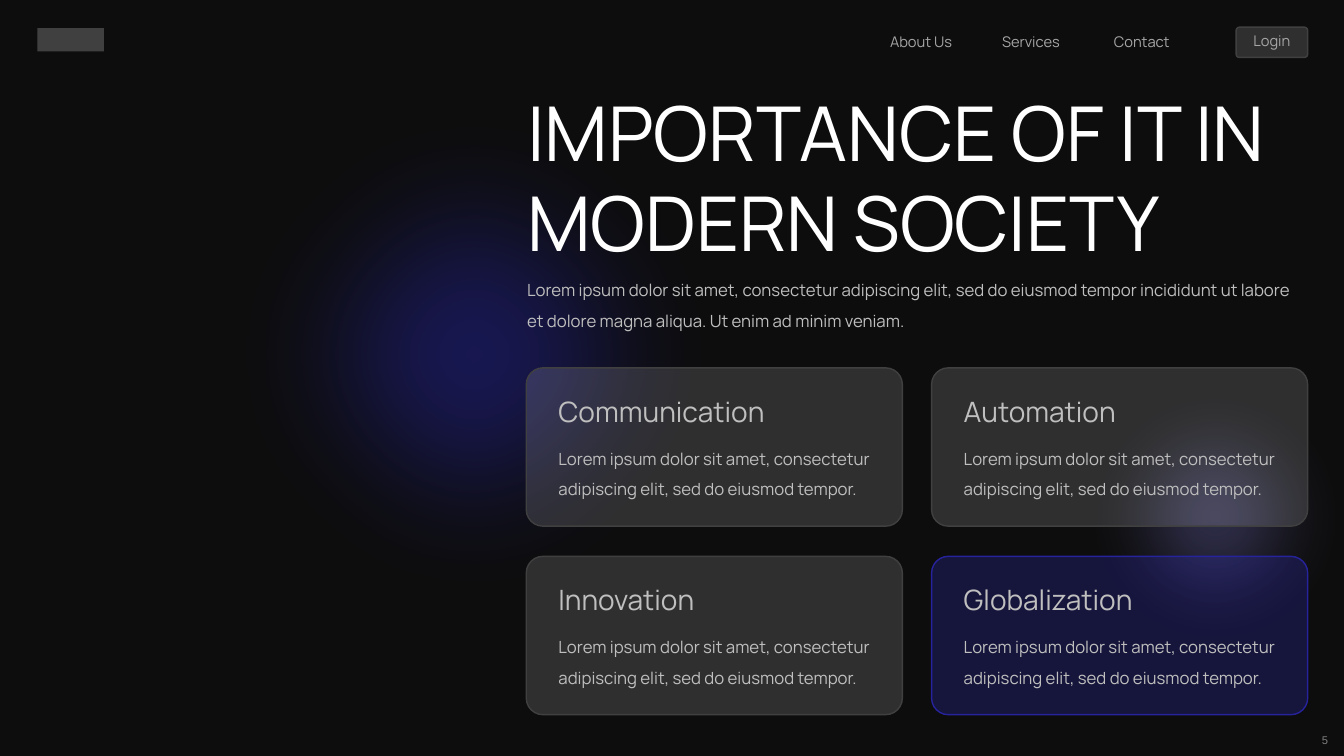
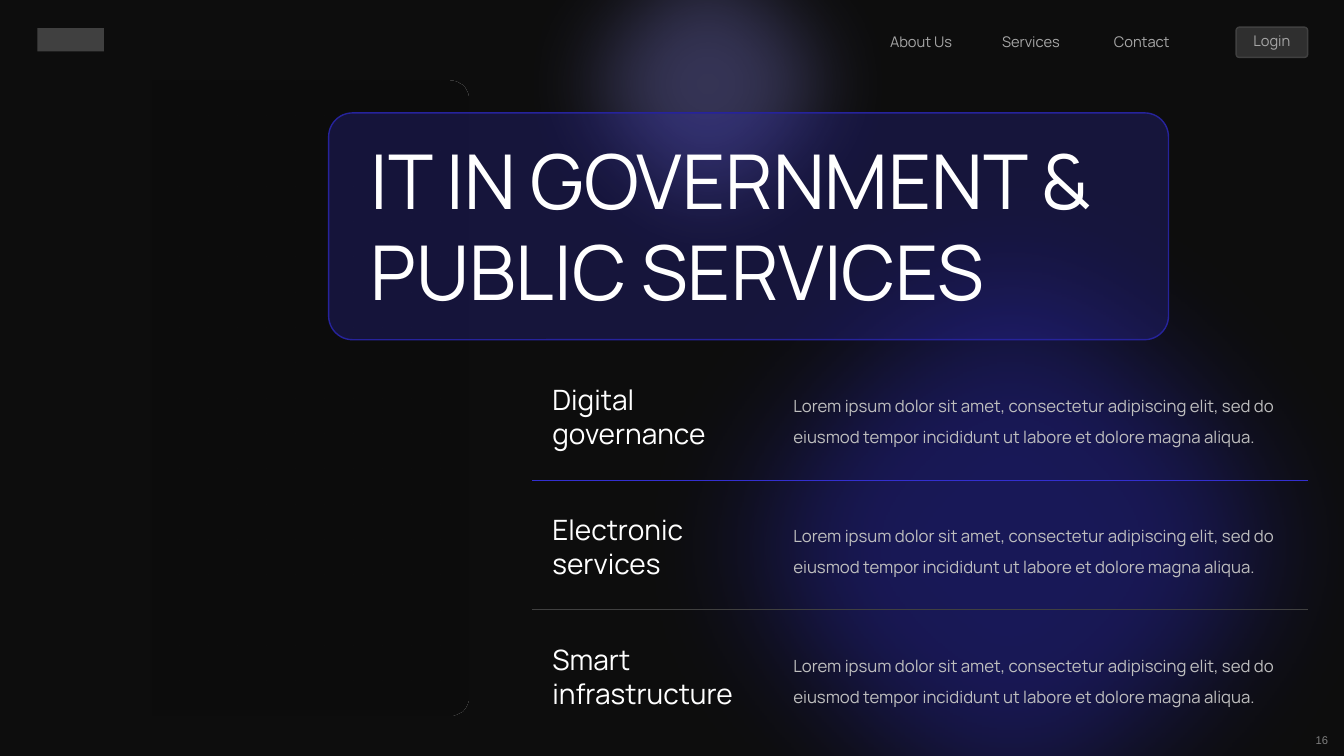
from math import cos, radians, sin

from lxml import etree
from pptx import Presentation
from pptx.dml.color import RGBColor
from pptx.enum.shapes import MSO_CONNECTOR, MSO_SHAPE
from pptx.enum.text import MSO_AUTO_SIZE, PP_ALIGN
from pptx.oxml.ns import qn
from pptx.util import Inches, Pt

ROUND, OVAL, RECT = MSO_SHAPE.ROUNDED_RECTANGLE, MSO_SHAPE.OVAL, MSO_SHAPE.RECTANGLE
LEFT, CENTER, RIGHT = PP_ALIGN.LEFT, PP_ALIGN.CENTER, PP_ALIGN.RIGHT
GROW = MSO_AUTO_SIZE.SHAPE_TO_FIT_TEXT
STRAIGHT = MSO_CONNECTOR.STRAIGHT

FONT = "Manrope"
DARK, WHITE, PALE, MUTED, GREY = "0D0D0D", "FFFFFF", "BFBFBF", "A6A6A6", "7F7F7F"
BLUE, NAVY, LILAC, EDGE = "332FD0", "26239C", "8582E3", "404040"
GLASS = ("F2F2F2", 15, EDGE)
TINT = (BLUE, 24, NAVY)


def add_box(slide, kind, at, fill, alpha=100, line=None, soft=0):
    """Draw a filled shape; alpha is in percent, soft is the blur of its edge in inches."""
    box = slide.shapes.add_shape(kind, *map(Inches, at))
    box.shadow.inherit = False
    box.fill.solid()
    box.fill.fore_color.rgb = RGBColor.from_string(fill)
    props = box._element.spPr
    color = props.find(qn("a:solidFill"))[0]
    etree.SubElement(color, qn("a:alpha"), val=str(alpha * 1000))
    if line:
        box.line.color.rgb = RGBColor.from_string(line)
        box.line.width = Pt(1)
    else:
        box.line.fill.background()
    if kind == ROUND:
        box.adjustments[0] = 0.105
    if soft:
        effects = props.find(qn("a:effectLst"))
        etree.SubElement(effects, qn("a:softEdge"), rad=str(Inches(soft)))


def add_text(slide, at, text, size, color, align=LEFT, space=None, font=FONT):
    frame = slide.shapes.add_textbox(*map(Inches, at)).text_frame
    frame.word_wrap = True
    frame.auto_size = GROW
    frame.text = text
    for para in frame.paragraphs:
        para.alignment = align
        para.line_spacing = space
        para.font.name = font
        para.font.size = Pt(size)
        para.font.color.rgb = RGBColor.from_string(color)


deck = Presentation()
deck.slide_width, deck.slide_height = Inches(13.33), Inches(7.5)

# Shared background, menu and page number
pages = []
for number in ("5", "16"):
    page = deck.slides.add_slide(deck.slide_layouts[6])
    page.background.fill.solid()
    page.background.fill.fore_color.rgb = RGBColor.from_string(DARK)
    add_box(page, ROUND, (12.26, 0.27, 0.71, 0.3), *GLASS)
    add_box(page, RECT, (0.37, 0.28, 0.66, 0.23), EDGE)
    for i, item in enumerate(("About Us", "Services", "Contact")):
        add_text(page, (8.73 + i * 1.11, 0.28, 0.87, 0.29), item, 10.5, MUTED)
    add_text(page, (12.26, 0.27, 0.71, 0.29), "Login", 10.5, MUTED, CENTER)
    add_text(page, (12.4, 7.23, 0.87, 0.24), number, 8, GREY, RIGHT, font="Arial")
    pages.append(page)
society, public = pages

# Importance of IT
add_box(society, OVAL, (1.59, 0.4, 6.23, 6.23), NAVY, 52, soft=1.39)
add_box(society, OVAL, (10.26, 3.33, 3.58, 3.58), LILAC, 37, soft=0.88)
add_text(society, (5.13, 0.8, 7.84, 1.92), "IMPORTANCE OF IT IN MODERN SOCIETY", 54, WHITE)
add_text(society, (5.13, 2.63, 7.84, 0.71),
         "Lorem ipsum dolor sit amet, consectetur adipiscing elit, sed do eiusmod tempor "
         "incididunt ut labore et dolore magna aliqua. Ut enim ad minim veniam.",
         12, PALE, space=1.5)

cards = (("Communication", GLASS), ("Automation", GLASS),
         ("Innovation", GLASS), ("Globalization", TINT))
for i, (head, style) in enumerate(cards):
    row, col = divmod(i, 2)
    x, y = 5.22 + col * 4.02, 3.65 + row * 1.87
    add_box(society, ROUND, (x, y, 3.73, 1.57), *style)
    add_text(society, (x + 0.22, y + 0.65, 3.51, 0.71),
             "Lorem ipsum dolor sit amet, consectetur adipiscing elit, sed do eiusmod tempor.",
             12, PALE, space=1.5)
    add_text(society, (x + 0.22, y + 0.21, 3.51, 0.44), head, 20, PALE)

# Government and public services
add_box(public, OVAL, (4.82, -1.37, 4.4, 4.4), LILAC, 34, soft=0.88)
add_box(public, OVAL, (5.88, 1.27, 8.31, 8.31), NAVY, 52, soft=1.39)

# Panel with round right corners, shaded towards the right
left, top, right, base, bend = 1.49, 0.8, 4.65, 7.1, 0.19
points = [(left, base)]
for mid, start in ((base - bend, 90), (top + bend, 0)):
    for step in range(0, 91, 10):
        turn = radians(start - step)
        points.append((right - bend + bend * cos(turn), mid + bend * sin(turn)))
outline = public.shapes.build_freeform(Inches(left), Inches(top))
outline.add_line_segments([(Inches(x), Inches(y)) for x, y in points])
panel = outline.convert_to_shape()
panel.shadow.inherit = False
panel.line.fill.background()
panel.fill.gradient()
panel.fill.gradient_angle = 0
for place, stop in enumerate(panel.fill.gradient_stops):
    stop.position = place
    stop.color.rgb = RGBColor.from_string(DARK)
for color, alpha in zip(panel._element.spPr.iter(qn("a:srgbClr")), (0, 80)):
    etree.SubElement(color, qn("a:alpha"), val=str(alpha * 1000))

add_box(public, ROUND, (3.26, 1.12, 8.33, 2.25), *TINT)
add_text(public, (3.58, 1.28, 7.69, 1.92), "IT IN GOVERNMENT &\nPUBLIC SERVICES", 54, WHITE)

for i, head in enumerate(("Digital governance", "Electronic services", "Smart infrastructure")):
    y = 3.75 + i * 1.29
    add_text(public, (7.77, y + 0.03, 5.2, 0.71),
             "Lorem ipsum dolor sit amet, consectetur adipiscing elit, sed do eiusmod tempor "
             "incididunt ut labore et dolore magna aliqua.", 12, PALE, space=1.5)
    add_text(public, (5.38, y, 2.39, 0.77), head, 20, WHITE)

for y, color in ((4.77, BLUE), (6.05, EDGE)):
    rule = public.shapes.add_connector(STRAIGHT, Inches(5.28), Inches(y), Inches(12.97), Inches(y))
    rule.line.color.rgb = RGBColor.from_string(color)
    rule.line.width = Pt(0.5)
    etree.SubElement(rule._element.spPr, qn("a:effectLst"))

deck.save("out.pptx")
